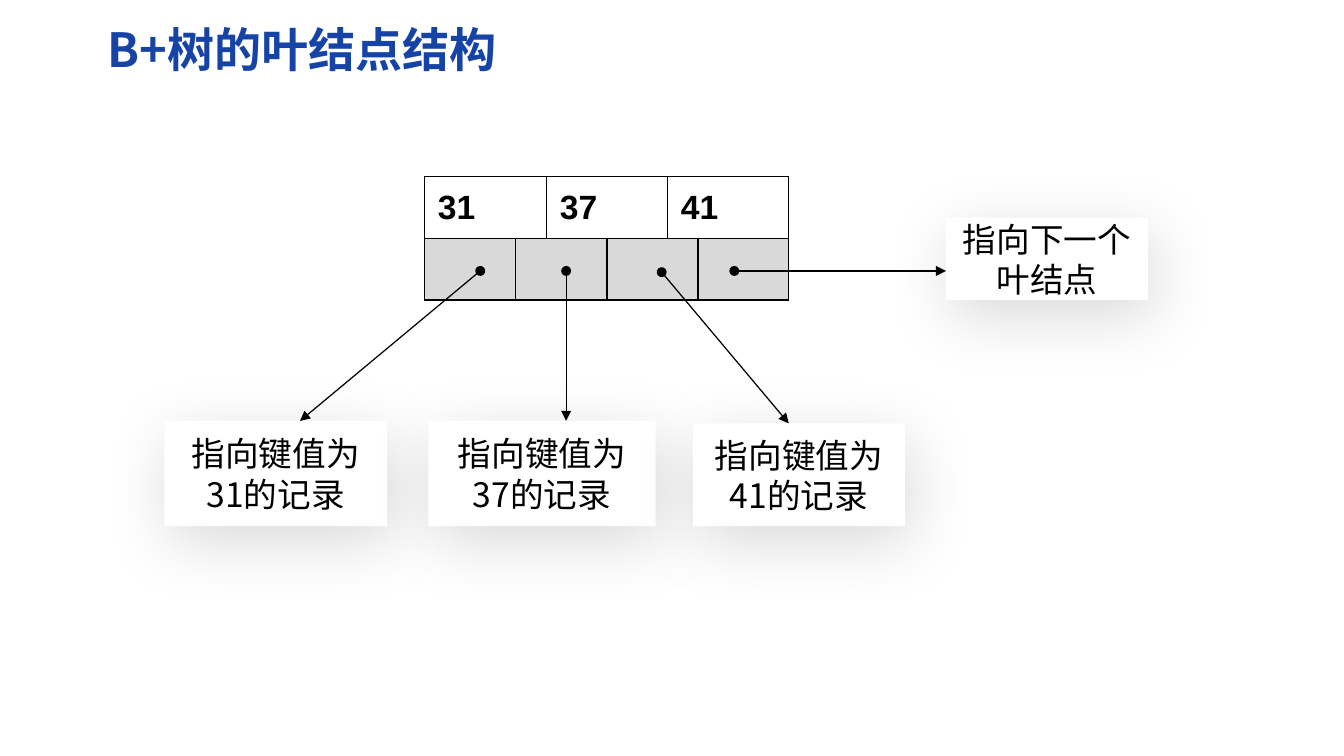
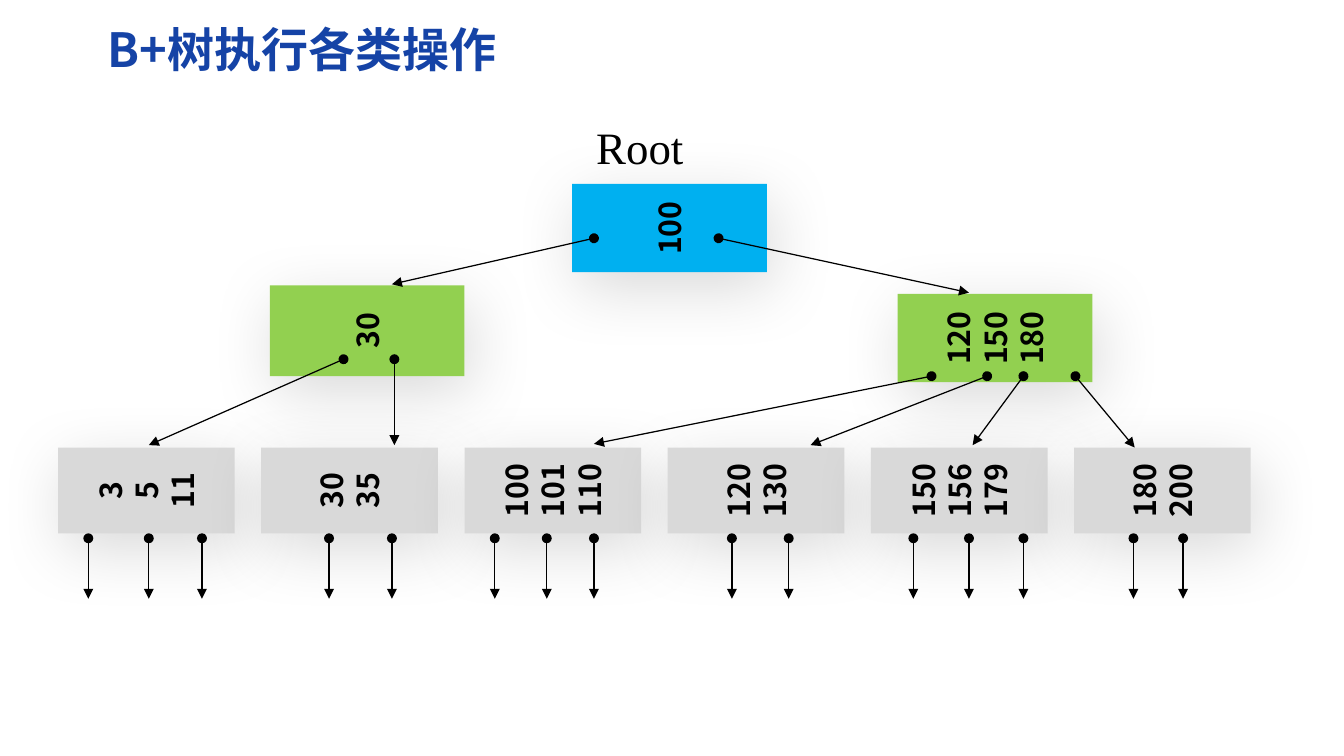
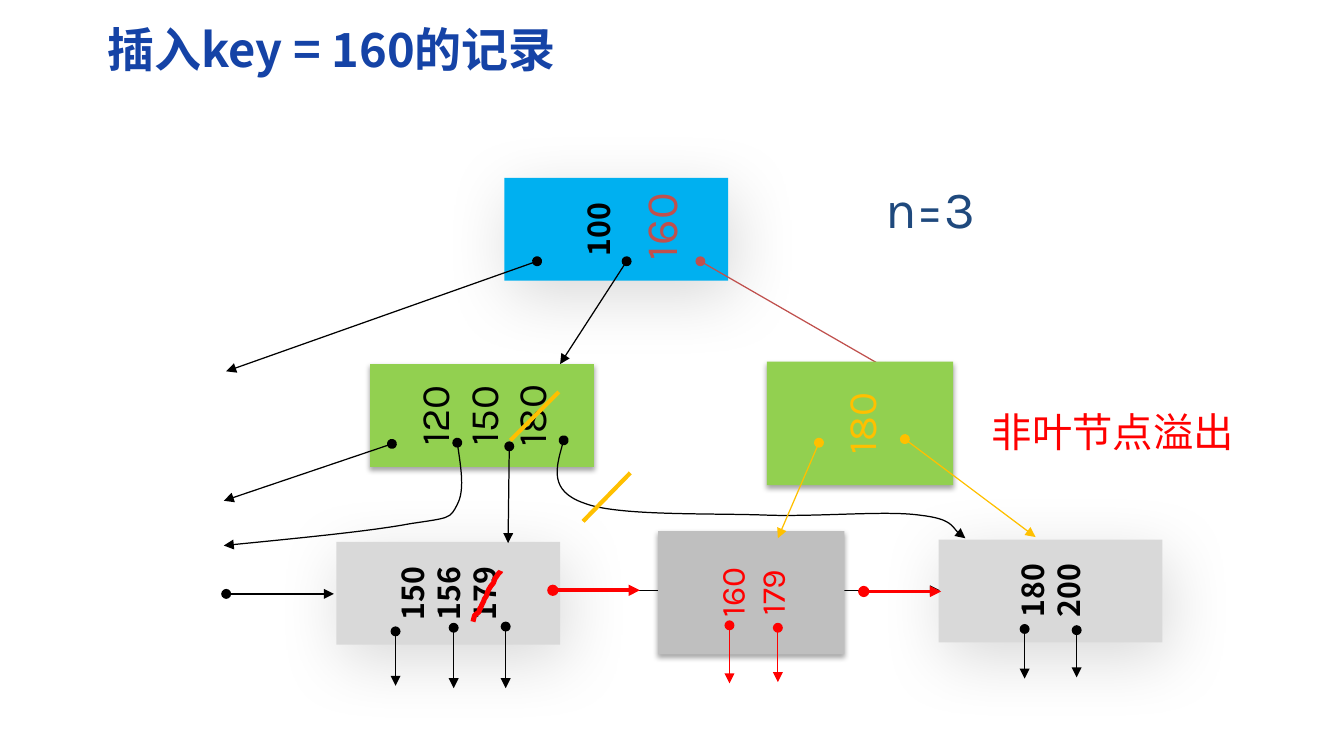
"""Build three slides on B+ tree leaf structure, operations and insertion."""
from lxml import etree
from pptx import Presentation
from pptx.dml.color import RGBColor
from pptx.enum.shapes import MSO_CONNECTOR, MSO_SHAPE
from pptx.enum.text import MSO_ANCHOR, PP_ALIGN
from pptx.oxml import parse_xml
from pptx.oxml.ns import qn
from pptx.util import Inches, Pt

STRAIGHT, RECT = MSO_CONNECTOR.STRAIGHT, MSO_SHAPE.RECTANGLE
LEFT, CENTER = PP_ALIGN.LEFT, PP_ALIGN.CENTER
TOP, MIDDLE = MSO_ANCHOR.TOP, MSO_ANCHOR.MIDDLE
NS = "http://schemas.openxmlformats.org/drawingml/2006/main"

SANS, KARLA, ARIAL, SERIF = "Noto Sans CJK SC", "Karla", "Arial", "Times New Roman"
BLACK, WHITE, NAVY, BLUE, GREEN = "000000", "FFFFFF", "1543A6", "00B0F0", "92D050"
LIGHT, GREY, RED, BRICK, GOLD, SLATE = "D9D9D9", "BFBFBF", "FF0000", "C0504D", "FFC000", "1F497D"
SOFT, TIGHT = (15, 40, 10, 70), (35, 3.1, 1.8, 90)
TITLE_BOX = (0.79, 0.12, 9.81, 0.57)

LEAF_KEYS = ["31", "37", "41"]
LEAF_TABLE = (3.51, 1.46, 3, 1.02)
POINTER_COLS = [0.75, 0.25, 0.5, 0.5, 0.25, 0.75]
TARGETS = [
    ("指向键值为31的记录", (1.36, 3.48, 1.84, 0.87)),
    ("指向键值为37的记录", (3.54, 3.48, 1.88, 0.87)),
    ("指向键值为41的记录", (5.73, 3.5, 1.75, 0.85)),
    ("指向下一个叶结点", (7.82, 1.8, 1.67, 0.68)),
]
TARGET_ARROWS = [
    (3.97, 2.24, 2.48, 3.48), (4.68, 2.24, 4.68, 3.48),
    (5.47, 2.25, 6.52, 3.5), (6.07, 2.24, 7.82, 2.24),
]

INNER_NODES = [
    (["100"], (4.73, 1.52, 1.61, 0.73), BLUE),
    (["120", "150", "180"], (7.42, 2.43, 1.61, 0.73), GREEN),
    (["30"], (2.23, 2.36, 1.61, 0.75), GREEN),
]
LEAF_START, LEAF_PITCH, LEAF_TOP, LEAF_W, LEAF_H = 0.48, 1.68, 3.7, 1.46, 0.71
STUB_TOP, STUB_END = 4.45, 4.95
LEAVES = [
    (["3", "5", "11"], [0.73, 1.23, 1.67]),
    (["30", "35"], [2.72, 3.24]),
    (["100", "101", "110"], [4.09, 4.52, 4.91]),
    (["120", "130"], [6.05, 6.52]),
    (["150", "156", "179"], [7.55, 8.01, 8.46]),
    (["180", "200"], [9.37, 9.78]),
]
FIRST_LEAF_ARROW = (2.84, 2.97, 1.23, 3.68)
TREE_ARROWS = [
    (4.91, 1.97, 3.24, 2.35), (5.94, 1.97, 8.01, 2.42), (3.26, 2.97, 3.26, 3.68),
    (7.7, 3.11, 4.91, 3.67), (8.16, 3.11, 6.7, 3.68),
    (8.46, 3.11, 8.04, 3.68), (8.89, 3.11, 9.38, 3.7),
]

OLD_ARROWS = [
    (4.44, 2.16, 1.87, 3.07), (5.18, 2.16, 4.63, 3.01),
    (3.24, 3.67, 1.85, 4.14), (4.21, 3.69, 4.2, 4.49),
    (3.27, 5.22, 3.27, 5.67), (3.75, 5.19, 3.75, 5.69), (4.18, 5.18, 4.18, 5.69),
    (8.47, 5.2, 8.47, 5.61), (8.9, 5.21, 8.9, 5.6),
]
OLD_CURVES = [
    [(3.78, 3.66), (3.81, 3.86), (3.84, 4.06), (3.78, 4.17), (3.72, 4.29), (3.72, 4.28),
     (3.39, 4.33), (3.07, 4.39), (2.46, 4.45), (1.85, 4.51)],
    [(4.66, 3.64), (4.6, 3.85), (4.54, 4.06), (4.83, 4.16), (5.11, 4.27), (5.91, 4.24),
     (6.37, 4.26), (6.83, 4.27), (7.34, 4.22), (7.61, 4.26), (7.87, 4.29), (7.91, 4.42),
     (7.98, 4.45)],
]
KEY_STRIKE = [
    (3.91, 5.14), (3.93, 5.07), (3.91, 5.1), (3.96, 5.06), (3.98, 4.98), (3.95, 5.09),
    (3.98, 5.01), (4.03, 4.91), (3.98, 4.99), (4.02, 4.93), (4.03, 4.89), (4.05, 4.85),
    (4.08, 4.82), (4.09, 4.8), (4.09, 4.77), (4.11, 4.76), (4.14, 4.71), (4.14, 4.74),
    (4.14, 4.72)]
NEW_LEAF_STUBS = [(6.03, 5.17, 6.03, 5.65), (6.43, 5.19, 6.43, 5.64)]
NEW_INNER_ARROWS = [(6.77, 3.66, 6.43, 4.45), (7.48, 3.63, 8.56, 4.44)]
GOLD_STRIKES = [(4.22, 3.64, 4.62, 3.24), (4.82, 4.31, 5.21, 3.91)]


def rgb(value):
    """Return the colour for a hex string."""
    return RGBColor.from_string(value)


def sub(parent, tag, **attributes):
    """Append a drawing element to a parent."""
    return etree.SubElement(parent, qn(tag), {k: str(v) for k, v in attributes.items()})


def write(frame, lines, size=18, font=SANS, color=BLACK, bold=False, align=CENTER,
          anchor=MIDDLE, wrap=True, spacing=None):
    """Write lines of text into a text frame."""
    frame.word_wrap = wrap
    frame.vertical_anchor = anchor
    for i, line in enumerate(lines):
        paragraph = frame.add_paragraph() if i else frame.paragraphs[0]
        paragraph.alignment = align
        if spacing:
            paragraph.line_spacing = spacing
        run = paragraph.add_run()
        run.text = line
        run.font.size, run.font.name, run.font.bold = Pt(size), font, bold
        run.font.color.rgb = rgb(color)
        sub(run.font._element, "a:ea", typeface=font)


def turned(box):
    """Return the unrotated frame that covers a box after a quarter turn."""
    x, y, w, h = box
    return x + (w - h) / 2, y + (h - w) / 2, h, w


def label(slide, text, box, turn=False, **style):
    """Add a text box."""
    shape = slide.shapes.add_textbox(*map(Inches, turned(box) if turn else box))
    shape.rotation = 270 if turn else 0
    write(shape.text_frame, [text], **style)
    return shape


def card(slide, lines, box, fill, shadow=SOFT, turn=True, **style):
    """Add a shadowed rectangle, with its text turned upwards if asked."""
    shape = slide.shapes.add_shape(RECT, *map(Inches, turned(box) if turn else box))
    shape.rotation = 270 if turn else 0
    shape.fill.solid()
    shape.fill.fore_color.rgb = rgb(fill)
    shape.line.fill.background()
    shape.shadow.inherit = False
    alpha, blur, distance, angle = shadow
    effects = shape._element.spPr.find(qn("a:effectLst"))
    outer = sub(effects, "a:outerShdw", blurRad=Pt(blur), dist=Pt(distance),
                dir=angle * 60000, algn="t", rotWithShape=0)
    sub(sub(outer, "a:srgbClr", val=BLACK), "a:alpha", val=alpha * 1000)
    write(shape.text_frame, lines, **style)
    return shape


def stroke(shape, color, width, head, tail):
    """Set line colour, width and ends."""
    shape.line.color.rgb = rgb(color)
    shape.line.width = Pt(width)
    line = shape.line._get_or_add_ln()
    for tag, kind in (("a:headEnd", head), ("a:tailEnd", tail)):
        if kind:
            sub(line, tag, type=kind)


def arrow(slide, points, color=BLACK, width=0.75, head="oval", tail="triangle",
          start=None, end=None):
    """Draw a straight line, joined to (shape, site) pairs where given."""
    x1, y1, x2, y2 = map(Inches, points)
    line = slide.shapes.add_connector(STRAIGHT, x1, y1, x2, y2)
    if start:
        line.begin_connect(*start)
    if end:
        line.end_connect(*end)
    line.begin_x, line.begin_y, line.end_x, line.end_y = x1, y1, x2, y2
    stroke(line, color, width, head, tail)
    sub(line._element.spPr, "a:effectLst")


def curve(slide, points, color=BLACK, width=0.75, head="oval", tail="triangle"):
    """Draw a chain of cubic curves through a start and triples of points."""
    start, *rest = [(Inches(x), Inches(y)) for x, y in points]
    builder = slide.shapes.build_freeform(*start, scale=1.0)
    builder.add_line_segments(rest, close=False)
    shape = builder.convert_to_shape()
    outline = next(shape._element.iter(qn("a:path")))
    outline.set("fill", "none")
    segments = outline.findall(qn("a:lnTo"))
    for i in range(0, len(segments), 3):
        cubic = sub(outline, "a:cubicBezTo")
        for segment in segments[i:i + 3]:
            cubic.append(segment[0])
            outline.remove(segment)
    shape.fill.background()
    shape.shadow.inherit = False
    stroke(shape, color, width, head, tail)


def new_slide(deck, title):
    """Add a blank slide with the shared title."""
    slide = deck.slides.add_slide(deck.slide_layouts[6])
    label(slide, title, TITLE_BOX, size=28, color=NAVY, bold=True, align=LEFT)
    return slide


def leaf_table(slide):
    """Add the table of keys over pointers."""
    table = slide.shapes.add_table(2, len(POINTER_COLS), *map(Inches, LEAF_TABLE)).table
    for column, width in zip(table.columns, POINTER_COLS):
        column.width = Inches(width)
    for r, fill in enumerate((WHITE, LIGHT)):
        for cell in table.rows[r].cells:
            cell.fill.solid()
            cell.fill.fore_color.rgb = rgb(fill)
            for i, side in enumerate(("lnL", "lnR", "lnT", "lnB")):
                cell._tc.get_or_add_tcPr().insert(i, parse_xml(
                    f'<a:{side} xmlns:a="{NS}" w="12700"><a:solidFill>'
                    f'<a:srgbClr val="{BLACK}"/></a:solidFill></a:{side}>'))
    for i, key in enumerate(LEAF_KEYS):
        cell = table.cell(0, 2 * i)
        cell.merge(table.cell(0, 2 * i + 1))
        cell.margin_left = cell.margin_right = Inches(0.11)
        cell.vertical_anchor = MIDDLE
        write(cell.text_frame, [key], size=20, font=ARIAL, bold=True, align=LEFT)
    for column in (1, 3):
        table.cell(1, column).merge(table.cell(1, column + 1))


def leaf_slide(deck):
    """Show the structure of a leaf."""
    slide = new_slide(deck, "B+树的叶结点结构")
    leaf_table(slide)
    for text, box in TARGETS:
        card(slide, [text], box, WHITE, turn=False, size=20)
    for points in TARGET_ARROWS:
        arrow(slide, points)


def tree_slide(deck):
    """Show a whole tree."""
    slide = new_slide(deck, "B+树执行各类操作")
    label(slide, "Root", (4.83, 0.94, 1.33, 0.58), size=26.7, font=SERIF,
          align=LEFT, anchor=TOP)
    for keys, box, fill in INNER_NODES:
        card(slide, keys, box, fill, bold=True)
    leaves = [card(slide, keys, (LEAF_START + i * LEAF_PITCH, LEAF_TOP, LEAF_W, LEAF_H),
                   LIGHT, bold=True) for i, (keys, _) in enumerate(LEAVES)]
    arrow(slide, FIRST_LEAF_ARROW, end=(leaves[0], 3))
    stubs = [(x, STUB_TOP, x, STUB_END) for _, xs in LEAVES for x in xs]
    for points in TREE_ARROWS + stubs:
        arrow(slide, points)


def insert_slide(deck):
    """Show the splits caused by inserting a key."""
    slide = new_slide(deck, "插入key = 160的记录")
    label(slide, "n=3", (7.19, 1.41, 1, 0.62), size=31.1, font=KARLA, color=SLATE, wrap=False)
    root = card(slide, ["100"], (4.17, 1.47, 1.85, 0.85), BLUE, bold=True)
    root.text_frame.margin_bottom = Inches(0.34)
    card(slide, ["120", "150", "180"], (3.06, 3.01, 1.85, 0.85), GREEN, TIGHT,
         size=24, font=KARLA, wrap=False)
    old_leaf = card(slide, ["150", "156", "179"], (2.78, 4.48, 1.85, 0.85), LIGHT, bold=True)
    last_leaf = card(slide, ["180", "200"], (7.76, 4.46, 1.85, 0.85), LIGHT, bold=True)
    for points in OLD_ARROWS:
        arrow(slide, points)
    for points in OLD_CURVES:
        curve(slide, points)
    arrow(slide, (1.87, 4.91, 2.76, 4.91), end=(old_leaf, 0))
    arrow(slide, (4.62, 4.88, 7.77, 4.88), head=None, start=(old_leaf, 2), end=(last_leaf, 0))

    label(slide, "160", (5.18, 1.47, 0.55, 0.81), turn=True, size=26.7, font=KARLA,
          color=BRICK, wrap=False)
    arrow(slide, (5.79, 2.16, 7.37, 3.07), BRICK)
    card(slide, ["160", "179"], (5.44, 4.39, 1.54, 1.02), GREY, TIGHT,
         size=20, font=KARLA, color=RED, wrap=False)
    arrow(slide, (4.57, 4.88, 5.29, 4.88), RED, 2.25)
    arrow(slide, (7.14, 4.89, 7.78, 4.89), RED, 2.25, end=(last_leaf, 0))
    for points in NEW_LEAF_STUBS:
        arrow(slide, points, RED)
    curve(slide, KEY_STRIKE, RED, 3, None, None)

    card(slide, ["180"], (6.34, 2.99, 1.54, 1.02), GREEN, TIGHT,
         size=24, font=KARLA, color=GOLD, wrap=False)
    for points in NEW_INNER_ARROWS:
        arrow(slide, points, GOLD)
    for points in GOLD_STRIKES:
        arrow(slide, points, GOLD, 2.5, None, None)
    label(slide, "非叶节点溢出", (8.1, 3.12, 2.32, 0.64), size=24, color=RED,
          align=LEFT, anchor=TOP, wrap=False, spacing=1.5)


def main():
    """Build and save the deck."""
    deck = Presentation()
    deck.slide_width, deck.slide_height = Inches(11.11), Inches(6.25)
    for build in (leaf_slide, tree_slide, insert_slide):
        build(deck)
    deck.save("out.pptx")


if __name__ == "__main__":
    main()
